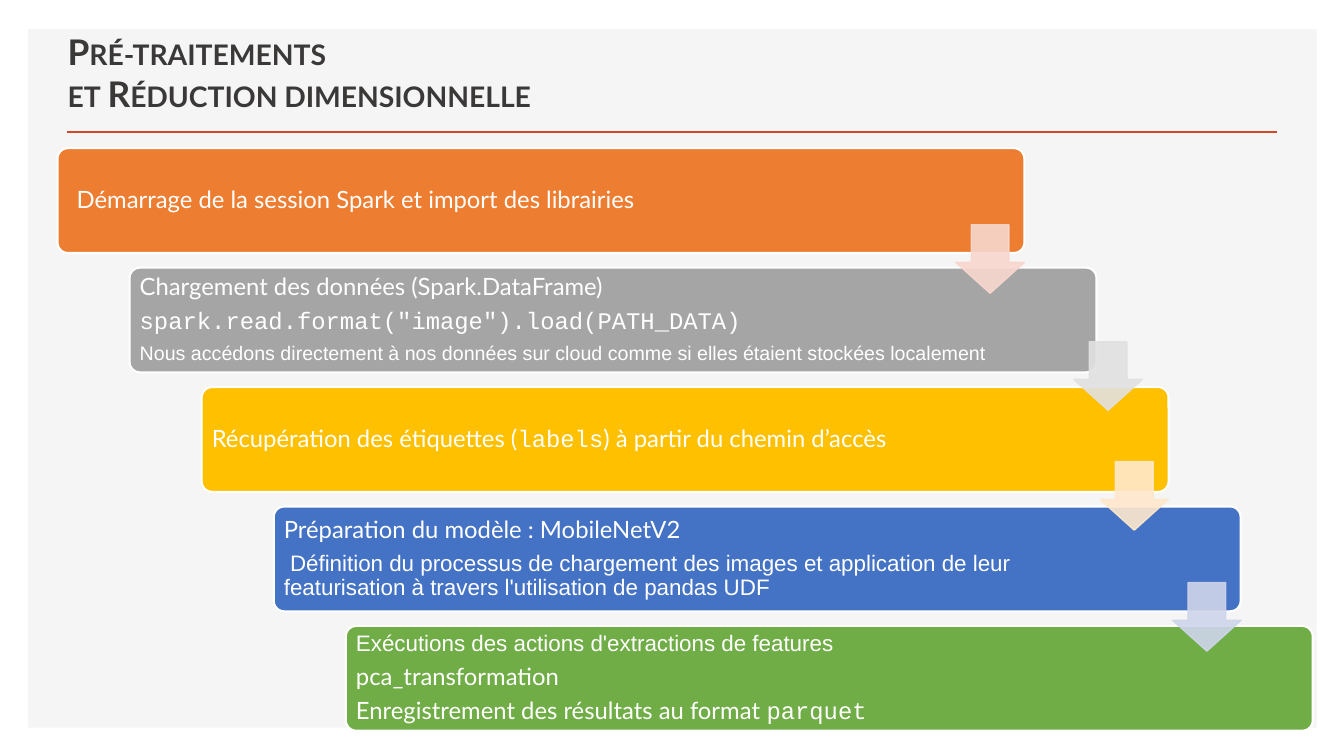
from lxml import etree
from pptx import Presentation
from pptx.dml.color import RGBColor
from pptx.enum.shapes import MSO_CONNECTOR, MSO_SHAPE
from pptx.enum.text import MSO_ANCHOR, MSO_AUTO_SIZE, PP_ALIGN
from pptx.oxml.ns import qn
from pptx.util import Inches, Pt

RECT = MSO_SHAPE.RECTANGLE
ROUND = MSO_SHAPE.ROUNDED_RECTANGLE
ARROW = MSO_SHAPE.DOWN_ARROW
LINE = MSO_CONNECTOR.STRAIGHT
LEFT = PP_ALIGN.LEFT
MIDDLE = MSO_ANCHOR.MIDDLE
BOTTOM = MSO_ANCHOR.BOTTOM
NO_FIT = MSO_AUTO_SIZE.NONE

COLORS = {
    "panel": "F5F5F5", "rule": "D24726", "title": "3B3838", "white": "FFFFFF",
    "orange": "ED7D31", "gray": "A5A5A5", "gold": "FFC000",
    "blue": "4472C4", "green": "70AD47",
    "rose": "F8D7CE", "silver": "E1E1E1", "cream": "FFE8CC", "mist": "CFD5EA",
}

LATO = ("Lato", 17)
CODE = ("Courier New", 17)
NOTE = ("Arial", 14)
BODY = ("Arial", 16)

PAD = 0.07
ROOM = 1.35

STEPS = [
    ("orange", 0.16, ROOM, [
        [("Démarrage de la session Spark et import des librairies", LATO)],
    ]),
    ("gray", PAD, PAD, [
        [("Chargement des données (Spark.DataFrame)", LATO)],
        [('spark.read.format("image").load(PATH_DATA)', CODE)],
        [("Nous accédons directement à nos données sur cloud "
          "comme si elles étaient stockées localement", NOTE)],
    ]),
    ("gold", PAD, ROOM, [
        [("Récupération des étiquettes (", LATO), ("labels", CODE),
         (") à partir du chemin d’accès", LATO)],
    ]),
    ("blue", PAD, ROOM, [
        [("Préparation du modèle : MobileNetV2", LATO)],
        [(" Définition du processus de chargement des images et application "
          "de leur featurisation à travers l'utilisation de pandas UDF", BODY)],
    ]),
    ("green", PAD, ROOM, [
        [("Exécutions des actions d'extractions de features", BODY)],
        [("pca_transformation", LATO)],
        [("Enregistrement des résultats au format ", LATO), ("parquet", CODE)],
    ]),
]

ARROWS = [
    ("rose", 9.48, 2.23),
    ("silver", 10.65, 3.39),
    ("cream", 10.91, 4.58),
    ("mist", 11.63, 5.78),
]


def color(name):
    return RGBColor.from_string(COLORS[name])


def add_run(para, text, font, size, tint):
    run = para.add_run()
    run.text = text
    run.font.name = font
    run.font.size = Pt(size)
    run.font.color.rgb = color(tint)
    return run


def add_box(slide, kind, box, fill, edge=None, width=1):
    shape = slide.shapes.add_shape(kind, *map(Inches, box))
    shape.shadow.inherit = False
    shape.fill.solid()
    shape.fill.fore_color.rgb = color(fill)
    if edge:
        shape.line.color.rgb = color(edge)
        shape.line.width = Pt(width)
    else:
        shape.line.fill.background()
    return shape


def add_panel(slide):
    panel = add_box(slide, RECT, (0.28, 0.29, 12.78, 6.93), "panel")
    slide.shapes.title.element.addprevious(panel.element)


def add_rule(slide):
    rule = slide.shapes.add_connector(
        LINE, Inches(0.66), Inches(1.31), Inches(12.67), Inches(1.31))
    rule.line.color.rgb = color("rule")
    rule.line.width = Pt(2)
    etree.SubElement(rule.element.spPr, qn("a:effectLst"))


def set_title(slide, lines):
    title = slide.shapes.title
    title.left, title.top = Inches(0.57), Inches(0.49)
    title.width, title.height = Inches(11.52), Inches(0.7)
    frame = title.text_frame
    frame.auto_size = NO_FIT
    frame.word_wrap = True
    frame.vertical_anchor = BOTTOM
    para = frame.paragraphs[0]
    para.alignment = LEFT
    for num, line in enumerate(lines):
        if num:
            para.add_line_break()
        run = add_run(para, line, "Lato", 25.2, "title")
        run.font.bold = True
        run.font.element.set("cap", "small") if hasattr(run.font, "element") \
            else run._r.get_or_add_rPr().set("cap", "small")


def add_step(slide, left, top, fill, start, end, paras):
    card = add_box(slide, ROUND, (left, top, 9.59, 1.04), fill, "white", 1.5)
    card.adjustments[0] = 0.1
    frame = card.text_frame
    frame.word_wrap = True
    frame.vertical_anchor = MIDDLE
    frame.margin_left, frame.margin_right = Inches(start), Inches(end)
    frame.margin_top = frame.margin_bottom = Inches(PAD)
    for num, runs in enumerate(paras):
        para = frame.add_paragraph() if num else frame.paragraphs[0]
        para.alignment = LEFT
        para.line_spacing = 0.9
        para.space_after = Pt(6)
        for text, (font, size) in runs:
            add_run(para, text, font, size, "white")


def add_arrow(slide, fill, left, top):
    arrow = add_box(slide, ARROW, (left, top, 0.68, 0.68), fill, fill)
    arrow.adjustments[0] = 0.55
    arrow.adjustments[1] = 0.45
    for tint in arrow.element.spPr.iter(qn("a:srgbClr")):
        etree.SubElement(tint, qn("a:alpha"), val="90000")


def main():
    deck = Presentation()
    deck.slide_width, deck.slide_height = Inches(13.33), Inches(7.5)
    slide = deck.slides.add_slide(deck.slide_layouts[5])
    add_panel(slide)
    add_rule(slide)
    set_title(slide, ["Pré-traitements", "et Réduction dimensionnelle"])
    gaps = len(STEPS) - 1
    for num, step in enumerate(STEPS):
        left = 0.57 + num * 2.86 / gaps
        top = 1.47 + num * 4.74 / gaps
        add_step(slide, left, top, *step)
    for arrow in ARROWS:
        add_arrow(slide, *arrow)
    deck.save("out.pptx")


if __name__ == "__main__":
    main()
